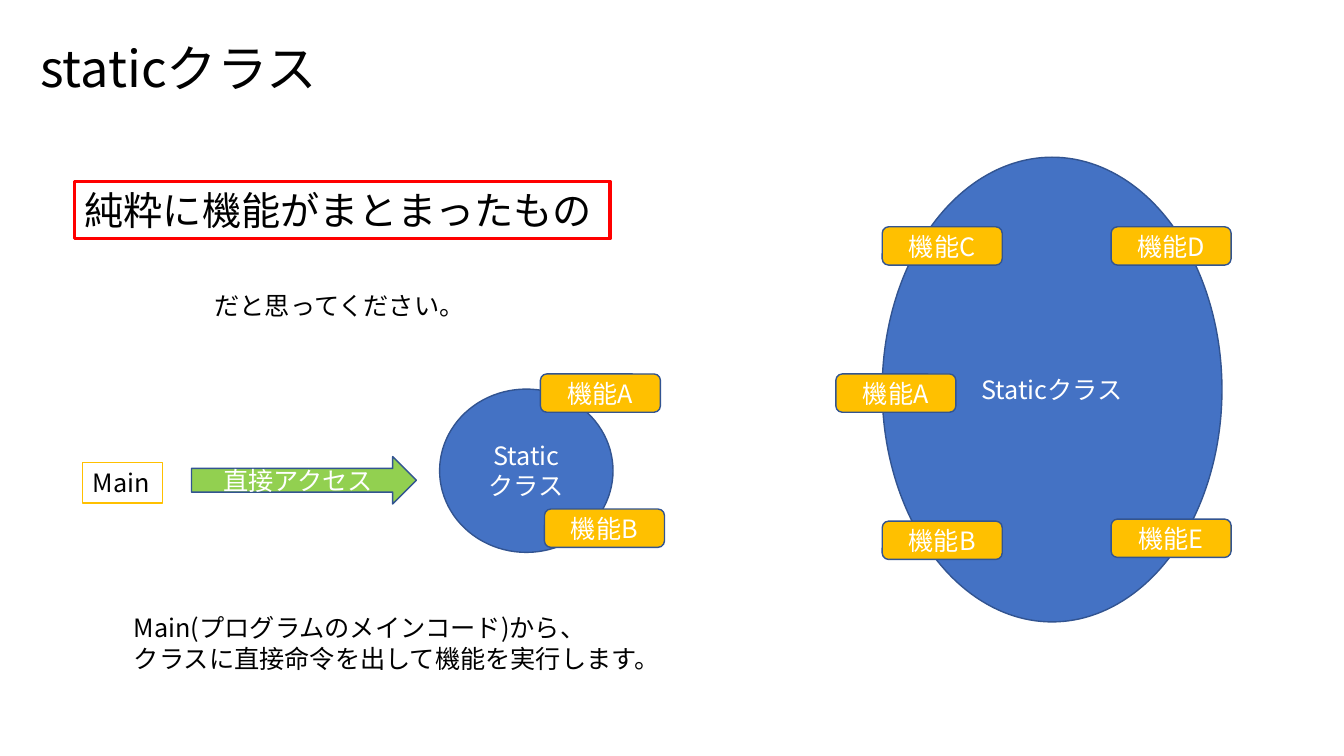
from dataclasses import dataclass

from lxml import etree
from pptx import Presentation
from pptx.dml.color import RGBColor
from pptx.enum.shapes import MSO_SHAPE
from pptx.enum.text import MSO_ANCHOR, MSO_AUTO_SIZE, PP_ALIGN
from pptx.oxml.ns import qn
from pptx.slide import Slide
from pptx.text.text import TextFrame
from pptx.util import Inches, Pt

RECTANGLE = MSO_SHAPE.RECTANGLE
PILL = MSO_SHAPE.ROUNDED_RECTANGLE
OVAL = MSO_SHAPE.OVAL
ARROW = MSO_SHAPE.RIGHT_ARROW
MIDDLE, TOP = MSO_ANCHOR.MIDDLE, MSO_ANCHOR.TOP
LEFT, CENTER = PP_ALIGN.LEFT, PP_ALIGN.CENTER
FIT_SHAPE, NO_FIT = MSO_AUTO_SIZE.SHAPE_TO_FIT_TEXT, MSO_AUTO_SIZE.NONE

FONT = "Noto Sans CJK JP"
BLACK, WHITE, RED = "000000", "FFFFFF", "FF0000"
BLUE, NAVY, AMBER, GREEN = "4472C4", "325491", "FFC000", "92D050"


@dataclass
class Figure:
    """A filled shape with centred white text."""
    kind: MSO_SHAPE
    left: float
    top: float
    width: float
    height: float
    fill: str
    lines: list[str]


@dataclass
class Label:
    """Black text, with an optional frame around it."""
    left: float
    top: float
    width: float
    height: float
    lines: list[str]
    size: float = 18
    fill: str | None = None
    border: str | None = None
    border_width: float = 1


def color(value: str) -> RGBColor:
    return RGBColor.from_string(value)


def write(frame: TextFrame, lines: list[str], size: float, ink: str, align: PP_ALIGN) -> None:
    for index, line in enumerate(lines):
        para = frame.paragraphs[0] if index == 0 else frame.add_paragraph()
        para.alignment = align
        span = para.add_run()
        span.text = line
        span.font.size = Pt(size)
        span.font.name = FONT
        span.font.color.rgb = color(ink)
        # Japanese characters take the East Asian font
        east_asian = etree.SubElement(span.font._element, qn("a:ea"))
        east_asian.set("typeface", FONT)


def draw_figure(page: Slide, figure: Figure) -> None:
    box = page.shapes.add_shape(figure.kind, Inches(figure.left), Inches(figure.top),
                                Inches(figure.width), Inches(figure.height))
    box.shadow.inherit = False
    box.fill.solid()
    box.fill.fore_color.rgb = color(figure.fill)
    box.line.color.rgb = color(NAVY)
    box.line.width = Pt(1)
    box.text_frame.word_wrap = True
    box.text_frame.vertical_anchor = MIDDLE
    write(box.text_frame, figure.lines, 18, WHITE, CENTER)


def draw_label(page: Slide, label: Label) -> None:
    box = page.shapes.add_textbox(Inches(label.left), Inches(label.top),
                                  Inches(label.width), Inches(label.height))
    if label.fill:
        box.fill.solid()
        box.fill.fore_color.rgb = color(label.fill)
    if label.border:
        box.line.color.rgb = color(label.border)
        box.line.width = Pt(label.border_width)
    frame = box.text_frame
    frame.word_wrap = False
    frame.auto_size = FIT_SHAPE
    frame.vertical_anchor = TOP
    write(frame, label.lines, label.size, BLACK, LEFT)


def feature(letter: str, left: float, top: float) -> Figure:
    return Figure(PILL, left, top, 1.19, 0.38, AMBER, [f"機能{letter}"])


def draw_title(page: Slide, text: str) -> None:
    title = page.shapes.title
    title.left, title.top = Inches(0.3), Inches(0.31)
    title.width, title.height = Inches(9.4), Inches(0.72)
    title.text_frame.word_wrap = True
    title.text_frame.auto_size = NO_FIT
    title.text_frame.vertical_anchor = MIDDLE
    write(title.text_frame, [text], 36, BLACK, LEFT)


LABELS = [
    Label(0.74, 1.8, 5.31, 0.57, ["純粋に機能がまとまったもの"], 28, None, RED, 2.25),
    Label(2.03, 2.83, 2.73, 0.4, ["だと思ってください。"]),
    Label(0.82, 4.59, 0.79, 0.4, ["Main"], fill=WHITE, border=AMBER),
    Label(1.23, 6.03, 5.5, 0.71, ["Main(プログラムのメインコード)から、",
                                  "クラスに直接命令を出して機能を実行します。"]),
]

FIGURES = [
    # Large class with five features
    Figure(OVAL, 8.75, 1.56, 3.37, 4.61, BLUE, ["Staticクラス"]),
    feature("A", 8.29, 3.71),
    feature("C", 8.75, 2.25),
    feature("B", 8.75, 5.17),
    feature("D", 11.02, 2.25),
    feature("E", 11.02, 5.15),
    # Small class accessed from Main
    Figure(OVAL, 4.36, 3.86, 1.72, 1.62, BLUE, ["Static", "クラス"]),
    Figure(ARROW, 1.9, 4.53, 2.23, 0.47, GREEN, ["直接アクセス"]),
    feature("A", 5.36, 3.71),
    feature("B", 5.4, 5.05),
]


def main() -> None:
    deck = Presentation()
    deck.slide_width, deck.slide_height = Inches(13.33), Inches(7.5)
    page = deck.slides.add_slide(deck.slide_layouts[5])
    draw_title(page, "staticクラス")
    for label in LABELS:
        draw_label(page, label)
    for figure in FIGURES:
        draw_figure(page, figure)
    deck.save("out.pptx")


if __name__ == "__main__":
    main()
